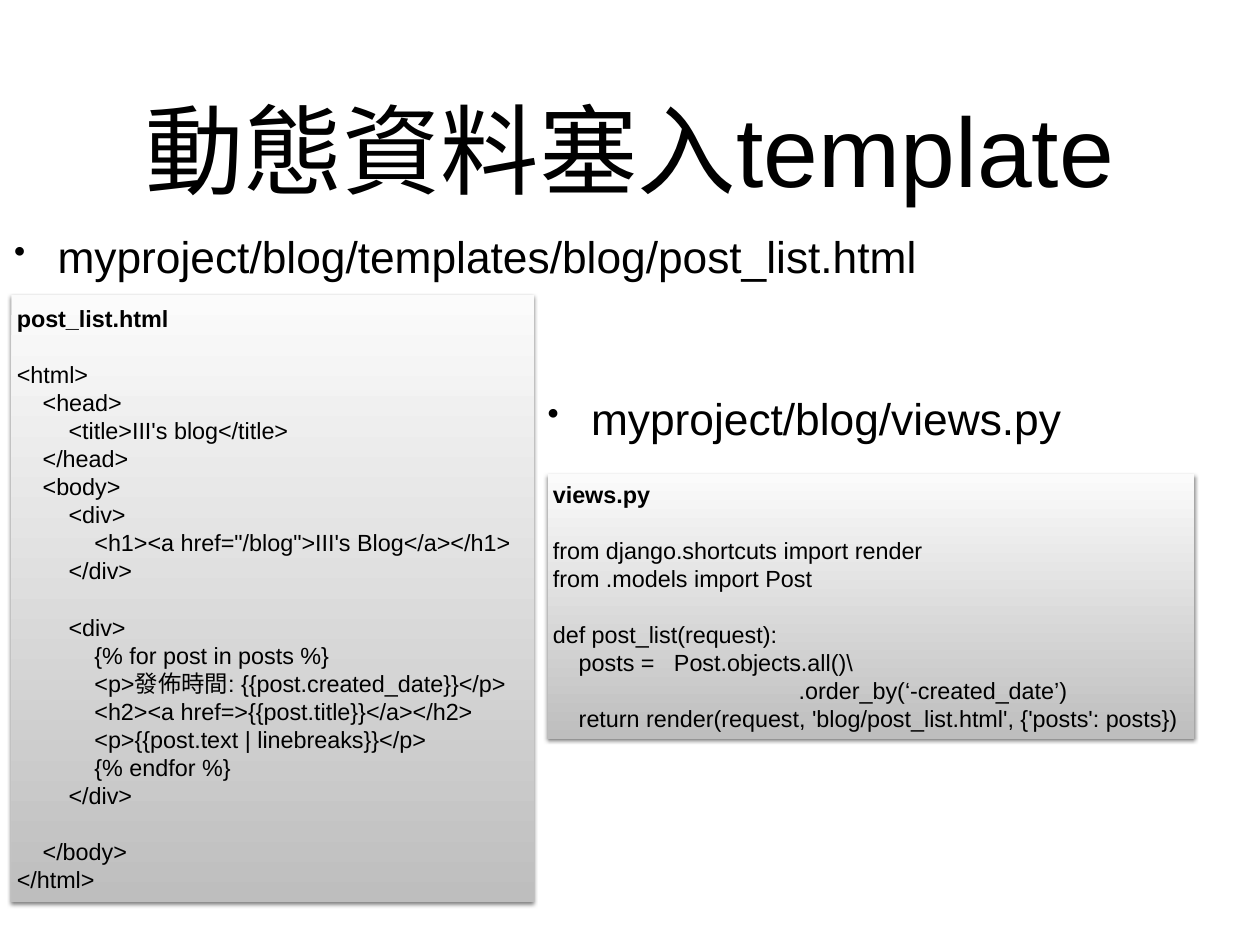
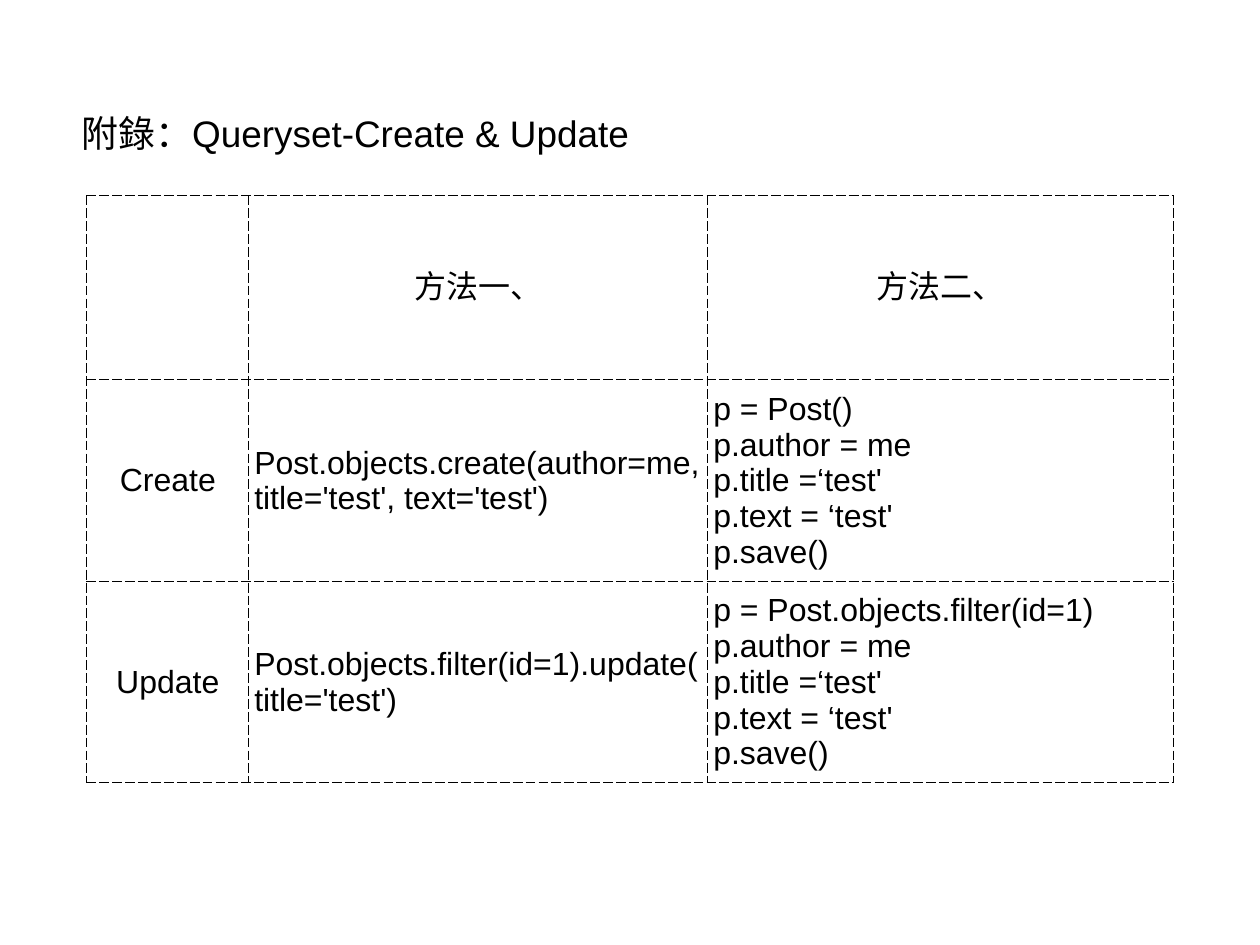
from pptx import Presentation, util as u
from pptx.dml.color import RGBColor
from pptx.enum import shapes, text
from pptx.oxml import parse_xml
from pptx.oxml.ns import nsdecls, qn

PX = 9144  # 100 px to the inch
FONT = "Arial"
BLACK = RGBColor(0x00, 0x00, 0x00)
PALE = RGBColor(0xFB, 0xFB, 0xFB)
GREY = RGBColor(0xBE, 0xBE, 0xBE)
INSET = 6 * PX
LEFT, CENTER = text.PP_ALIGN.LEFT, text.PP_ALIGN.CENTER


def write(frame, words, size, align=LEFT, bold_first=False, leading=None, bullet=False):
    """Write one paragraph per line; an empty line becomes space before the next."""
    frame.word_wrap = True
    frame.auto_size = text.MSO_AUTO_SIZE.NONE
    frame.vertical_anchor = text.MSO_ANCHOR.MIDDLE
    frame.margin_left = frame.margin_right = INSET
    frame.margin_top = frame.margin_bottom = INSET
    para, gap = None, False
    for line in words.split("\n"):
        if not line:
            gap = True
            continue
        first = para is None
        para = frame.paragraphs[0] if first else frame.add_paragraph()
        para.alignment = align
        if leading:
            para.line_spacing = u.Pt(leading)
        if gap:
            para.space_before = u.Pt(leading)
            gap = False
        if bullet:
            props = para._p.get_or_add_pPr()
            props.set("marL", str(49 * PX))
            props.set("indent", str(-49 * PX))
            for tag in ('buSzPct val="75000"', 'buChar char="•"'):
                props.append(parse_xml(f"<a:{tag} {nsdecls('a')}/>"))
        span = para.add_run()
        span.text = line
        span.font.size = u.Pt(size)
        span.font.name = FONT
        span.font.bold = bold_first and first
        span.font.color.rgb = BLACK
        span.font._element.find(qn("a:latin")).addnext(
            parse_xml(f'<a:ea {nsdecls("a")} typeface="{FONT}"/>'))


def add_titled_slide(words, size, left, top, width, height):
    page = deck.slides.add_slide(deck.slide_layouts[5])
    title = page.shapes.title
    title.left, title.top, title.width, title.height = (
        n * PX for n in (left, top, width, height))
    write(title.text_frame, words, size, align=CENTER)
    return page


deck = Presentation()
deck.slide_width, deck.slide_height = 1422 * PX, 1067 * PX

# Slide 1: template and view code
TEMPLATE_CODE = """post_list.html

<html>
    <head>
        <title>III's blog</title>
    </head>
    <body>
        <div>
            <h1><a href="/blog">III's Blog</a></h1>
        </div>

        <div>
            {% for post in posts %}
            <p>發佈時間: {{post.created_date}}</p>
            <h2><a href=>{{post.title}}</a></h2>
            <p>{{post.text | linebreaks}}</p>
            {% endfor %}
        </div>

    </body>
</html>"""
VIEW_CODE = r"""views.py

from django.shortcuts import render
from .models import Post

def post_list(request):
    posts =   Post.objects.all()\
                                      .order_by(‘-created_date’)
    return render(request, 'blog/post_list.html', {'posts': posts})"""

page = add_titled_slide("動態資料塞入template", 80, 104, 49, 1214, 236)

# Code panels
for code, *place in ((VIEW_CODE, 618, 535, 730, 299),
                     (TEMPLATE_CODE, 13, 333, 590, 686)):
    panel = page.shapes.add_shape(shapes.MSO_SHAPE.RECTANGLE, *(n * PX for n in place))
    panel.fill.gradient()
    panel.fill.gradient_angle = 270
    for stop, colour, position in zip(panel.fill.gradient_stops, (PALE, GREY), (0, 1)):
        stop.color.rgb = colour
        stop.position = position
    panel.line.fill.background()
    panel.shadow.inherit = False
    panel._element.spPr.find(qn("a:effectLst")).append(parse_xml(
        f'<a:outerShdw {nsdecls("a")} blurRad="{u.Pt(3)}" dist="{u.Pt(2)}" dir="5400000" '
        'rotWithShape="0"><a:srgbClr val="000000"><a:alpha val="50000"/></a:srgbClr>'
        '</a:outerShdw>'))
    write(panel.text_frame, code, 19, bold_first=True, leading=22.8)

# File locations
for location, *place in (
        ("myproject/blog/templates/blog/post_list.html", 10, 253, 1049, 71),
        ("myproject/blog/views.py", 612, 436, 605, 71)):
    box = page.shapes.add_textbox(*(n * PX for n in place))
    write(box.text_frame, location, 36, bullet=True)

# Slide 2: create and update methods
page = add_titled_slide("附錄：Queryset-Create & Update", 30, 0, 32, 802, 236)

FIELDS = "p.author = me\np.title =‘test'\np.text = ‘test'\np.save()"
METHODS = (
    ("", "方法一、", "方法二、"),
    ("Create", "Post.objects.create(author=me, title='test', text='test')",
     "p = Post()\n" + FIELDS),
    ("Update", "Post.objects.filter(id=1).update(title='test')",
     "p = Post.objects.filter(id=1)\n" + FIELDS),
)
COLUMNS, ROWS = (183, 518, 525), (208, 228, 227)

table = page.shapes.add_table(3, 3, 98 * PX, 221 * PX,
                              sum(COLUMNS) * PX, sum(ROWS) * PX).table
table.first_row = table.horz_banding = False
for column, width in zip(table.columns, COLUMNS):
    column.width = width * PX
for row, height in zip(table.rows, ROWS):
    row.height = height * PX

for r, entries in enumerate(METHODS):
    for c, entry in enumerate(entries):
        cell = table.cell(r, c)
        write(cell.text_frame, entry, 26, align=CENTER if r == 0 or c == 0 else LEFT)
        cell.vertical_anchor = text.MSO_ANCHOR.MIDDLE
        cell.margin_left = cell.margin_right = INSET
        cell.margin_top = cell.margin_bottom = INSET
        cell.fill.background()
        # Dashed borders come before the fill in the cell properties
        for i, side in enumerate("LRTB"):
            cell._tc.tcPr.insert(i, parse_xml(
                f'<a:ln{side} {nsdecls("a")} w="{u.Pt(1)}"><a:solidFill>'
                f'<a:srgbClr val="{BLACK}"/></a:solidFill><a:prstDash val="dash"/></a:ln{side}>'))

deck.save("out.pptx")
